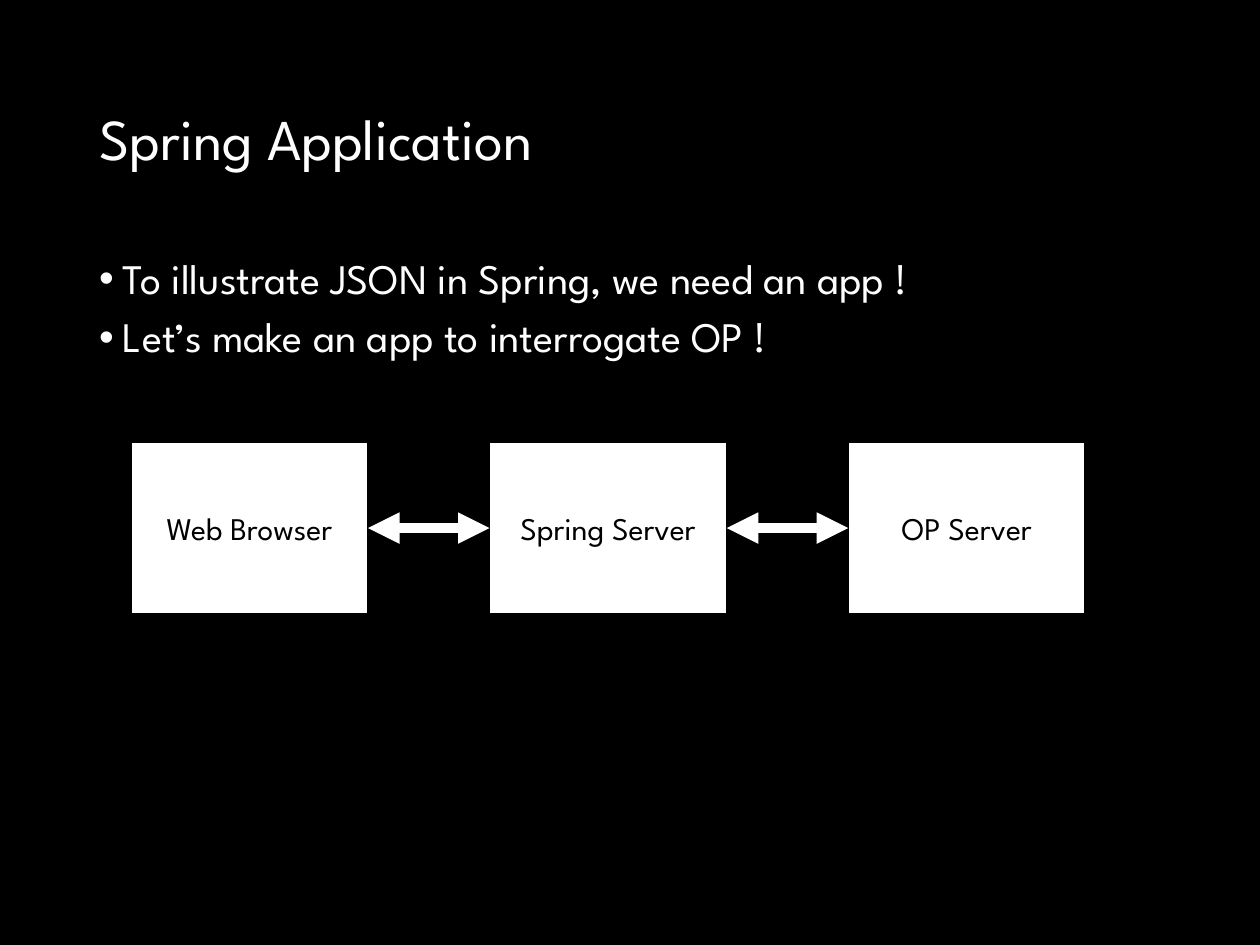
from lxml import etree
from pptx import Presentation
from pptx.dml.color import RGBColor
from pptx.enum.shapes import MSO_CONNECTOR, MSO_SHAPE
from pptx.enum.text import MSO_ANCHOR, PP_ALIGN
from pptx.oxml.ns import qn
from pptx.util import Cm, Pt

RECT = MSO_SHAPE.RECTANGLE
STRAIGHT = MSO_CONNECTOR.STRAIGHT
TOP, MIDDLE = MSO_ANCHOR.TOP, MSO_ANCHOR.MIDDLE
LEFT, CENTER = PP_ALIGN.LEFT, PP_ALIGN.CENTER

TITLE = "Spring Application"
BULLETS = [
    "To illustrate JSON in Spring, we need an app !",
    "Let’s make an app to interrogate OP !",
]
NODES = ["Web Browser", "Spring Server", "OP Server"]

FONT = "League Spartan"
COLORS = {"black": "000000", "white": "FFFFFF"}
TEXT_X, TEXT_W = 1.75, 21.9
NODE_X, NODE_Y, NODE_W, NODE_H, NODE_STEP = 2.64, 8.92, 4.78, 3.45, 7.23
BULLET_INDENT = Cm(0.48)


def rgb(name):
    return RGBColor.from_string(COLORS[name])


def write(tf, lines, size, color, anchor, align=LEFT):
    tf.word_wrap = True
    tf.vertical_anchor = anchor
    for i, line in enumerate(lines):
        p = tf.add_paragraph() if i else tf.paragraphs[0]
        p.text = line
        p.alignment = align
        p.font.name = FONT
        p.font.size = Pt(size)
        p.font.color.rgb = rgb(color)
    return tf.paragraphs


def add_text(s, y, h, lines, size, anchor):
    tf = s.shapes.add_textbox(Cm(TEXT_X), Cm(y), Cm(TEXT_W), Cm(h)).text_frame
    paragraphs = write(tf, lines, size, "white", anchor)
    for p in paragraphs:
        p.line_spacing = 0.9
    return paragraphs


def add_bullet(p):
    p.space_before = Pt(7.5)
    pPr = p._p.get_or_add_pPr()
    pPr.set("marL", str(BULLET_INDENT))
    pPr.set("indent", str(-BULLET_INDENT))
    font = etree.Element(qn("a:buFont"), typeface="Arial")
    char = etree.Element(qn("a:buChar"), char="•")
    pPr.insert_element_before(font, "a:tabLst", "a:defRPr", "a:extLst")
    pPr.insert_element_before(char, "a:tabLst", "a:defRPr", "a:extLst")


def add_node(s, i, label):
    x = NODE_X + i * NODE_STEP
    sp = s.shapes.add_shape(RECT, Cm(x), Cm(NODE_Y), Cm(NODE_W), Cm(NODE_H))
    sp.shadow.inherit = False
    sp.fill.solid()
    sp.fill.fore_color.rgb = rgb("white")
    sp.line.color.rgb = rgb("black")
    sp.line.width = Pt(1)
    write(sp.text_frame, [label], 18, "black", MIDDLE, CENTER)
    return sp


def add_double_arrow(s, a, b):
    c = s.shapes.add_connector(STRAIGHT, 0, 0, 0, 0)
    c.begin_connect(a, 3)
    c.end_connect(b, 1)
    c.line.color.rgb = rgb("white")
    c.line.width = Pt(6)
    ln = c.line._get_or_add_ln()
    for end in ("a:headEnd", "a:tailEnd"):
        etree.SubElement(ln, qn(end), type="triangle")
    etree.SubElement(c._element.spPr, qn("a:effectLst"))


def main():
    prs = Presentation()
    prs.slide_width, prs.slide_height = Cm(25.4), Cm(19.05)
    s = prs.slides.add_slide(prs.slide_layouts[6])
    s.background.fill.solid()
    s.background.fill.fore_color.rgb = rgb("black")

    add_text(s, 1.02, 3.68, [TITLE], 33, MIDDLE)
    for p in add_text(s, 5.08, 12.09, BULLETS, 24, TOP):
        add_bullet(p)

    nodes = [add_node(s, i, label) for i, label in enumerate(NODES)]
    for a, b in zip(nodes, nodes[1:]):
        add_double_arrow(s, a, b)
    prs.save("out.pptx")


if __name__ == "__main__":
    main()
